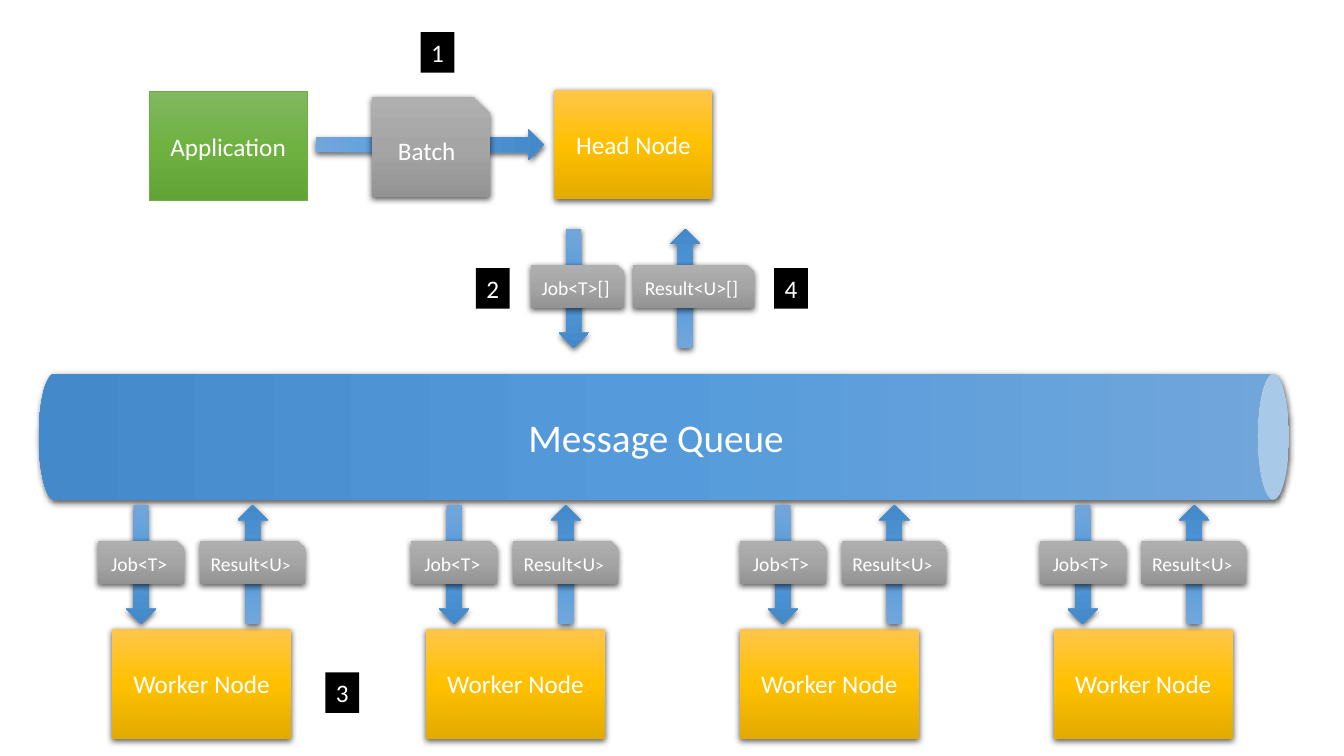
from dataclasses import dataclass
from lxml import etree
from pptx import Presentation
from pptx.dml.color import RGBColor
from pptx.enum.shapes import MSO_SHAPE as Shape
from pptx.enum.text import MSO_ANCHOR as Anchor, PP_ALIGN as Align
from pptx.oxml import parse_xml
from pptx.oxml.ns import nsdecls, qn
from pptx.util import Pt


@dataclass(frozen=True)
class Theme:
    font: str = "Calibri"
    text: str = "FFFFFF"
    badge: str = "000000"
    edge: str = "70AD47"
    blue: tuple = ("71A6DB", "559BDB", "448ACA")
    gold: tuple = ("FFC64B", "FFC000", "E3AB00")
    green: tuple = ("81B861", "6FB242", "62A336")
    gray: tuple = ("AFAFAF", "A5A5A5", "939393")
    queue_size: int = 28
    node_size: int = 18
    chip_size: int = 14
    small_size: int = 12


T = Theme()
ARROW_W = 21.6


def write(sp, *runs, size=T.node_size, color=T.text, vert=None):
    """Write runs, each a string or a (string, size) pair, centred in a shape."""
    tf = sp.text_frame
    tf.word_wrap = True
    tf.margin_left = tf.margin_right = Pt(4)
    tf.vertical_anchor = Anchor.MIDDLE
    if vert:
        tf._txBody.bodyPr.set("vert", vert)
    p = tf.paragraphs[0]
    p.alignment = Align.CENTER
    for run in runs:
        text, run_size = run if isinstance(run, tuple) else (run, size)
        r = p.add_run()
        r.text = text
        r.font.name = T.font
        r.font.size = Pt(run_size)
        r.font.color.rgb = RGBColor.from_string(color)


def paint(sp, colors):
    """Fill a shape with a three-stop gradient running down it."""
    stops = "".join(
        f'<a:gs pos="{i * 50000}"><a:srgbClr val="{c}"/></a:gs>'
        for i, c in enumerate(colors))
    grad = parse_xml(
        f'<a:gradFill {nsdecls("a")} rotWithShape="1"><a:gsLst>{stops}</a:gsLst>'
        '<a:lin ang="5400000" scaled="0"/></a:gradFill>')
    sp._element.spPr.find(qn("a:prstGeom")).addnext(grad)


def cast_shadow(sp):
    effects = sp._element.spPr.find(qn("a:effectLst"))
    shadow = etree.SubElement(
        effects, qn("a:outerShdw"), blurRad=str(Pt(4.5)), dist=str(Pt(1.5)),
        dir="5400000", algn="ctr", rotWithShape="0")
    color = etree.SubElement(shadow, qn("a:srgbClr"), val="000000")
    etree.SubElement(color, qn("a:alpha"), val="63000")


def add_part(shapes, kind, box, fill, shadow=True, edge=None):
    """Add a preset shape; fill is one colour or three gradient colours."""
    sp = shapes.add_shape(kind, *map(Pt, box))
    sp.shadow.inherit = False
    if edge:
        sp.line.color.rgb = RGBColor.from_string(edge)
        sp.line.width = Pt(0.5)
    else:
        sp.line.fill.background()
    if isinstance(fill, tuple):
        paint(sp, fill)
    else:
        sp.fill.solid()
        sp.fill.fore_color.rgb = RGBColor.from_string(fill)
    if shadow:
        cast_shadow(sp)
    return sp


def add_badge(shapes, x, y, number):
    sp = add_part(shapes, Shape.RECTANGLE, (x, y, 24, 29), T.badge, shadow=False)
    write(sp, number)


def add_turned(shapes, kind, box, degrees):
    """Add a blue shape that fills the box after a quarter turn."""
    x, y, w, h = box
    sp = add_part(shapes, kind, (x + (w - h) / 2, y + (h - w) / 2, h, w), T.blue)
    sp.rotation = degrees
    return sp


def add_submission(shapes, x, y):
    """Application hands a batch to the head node."""
    app = add_part(shapes, Shape.RECTANGLE, (x, y + 1, 113, 78.5), T.green,
                   shadow=False, edge=T.edge)
    write(app, "Application")
    head = add_part(shapes, Shape.RECTANGLE, (x + 289.5, y, 113, 78.5), T.gold)
    write(head, "Head Node")
    add_turned(shapes, Shape.DOWN_ARROW, (x + 119, y + 28.5, 163, ARROW_W), 270)
    batch = add_part(shapes, Shape.SNIP_1_RECTANGLE, (x + 159, y + 5, 84.5, 71.5), T.gray)
    write(batch, "Batch")
    add_badge(shapes, x + 194, y - 41, "1")


def add_traffic(shapes, x, y, job, result):
    """Jobs going down and results coming up; each is (width, runs)."""
    group = shapes.add_group_shape().shapes
    lanes = ((0, 20, job, False), (72.8, 99.7, result, True))
    for chip_x, arrow_x, (width, runs), upward in lanes:
        arrow = add_part(group, Shape.DOWN_ARROW,
                         (x + arrow_x, y, ARROW_W, 85), T.blue)
        if upward:
            arrow._element.spPr.find(qn("a:xfrm")).set("flipV", "1")
        chip = add_part(group, Shape.SNIP_1_RECTANGLE,
                        (x + chip_x, y + 25.5, width, 31), T.gray)
        write(chip, *runs, size=T.chip_size)


def add_head_traffic(shapes, x, y):
    add_traffic(shapes, x, y, (67, ["Job<T>[]"]), (87, ["Result<U>[]"]))
    add_badge(shapes, x - 39, y + 28, "2")
    add_badge(shapes, x + 174, y + 28, "4")


def add_queue(shapes, box):
    can = add_turned(shapes, Shape.CAN, box, 90)
    write(can, "Message Queue", size=T.queue_size, vert="vert270")


def add_workers(shapes, x, y, pitch=224.2):
    """Four evenly spaced workers, each with its own traffic."""
    for i, shift in enumerate((-10, -10.5, 0, -10)):
        left = x + i * pitch
        node = add_part(shapes, Shape.RECTANGLE, (left, y + 88.5, 128, 78.5), T.gold)
        write(node, "Worker Node")
        add_traffic(shapes, left + shift, y, (61.5, ["Job<T>"]),
                    (75, ["Result<U", (">", T.small_size)]))
    add_badge(shapes, x + 152.5, y + 119.5, "3")


prs = Presentation()
prs.slide_width, prs.slide_height = Pt(960), Pt(540)
s = prs.slides.add_slide(prs.slide_layouts[6])
add_queue(s.shapes, (27.7, 267, 893, 90))
add_submission(s.shapes, 106.5, 64)
add_head_traffic(s.shapes, 379, 163.5)
add_workers(s.shapes, 80, 360.7)
prs.save("out.pptx")
